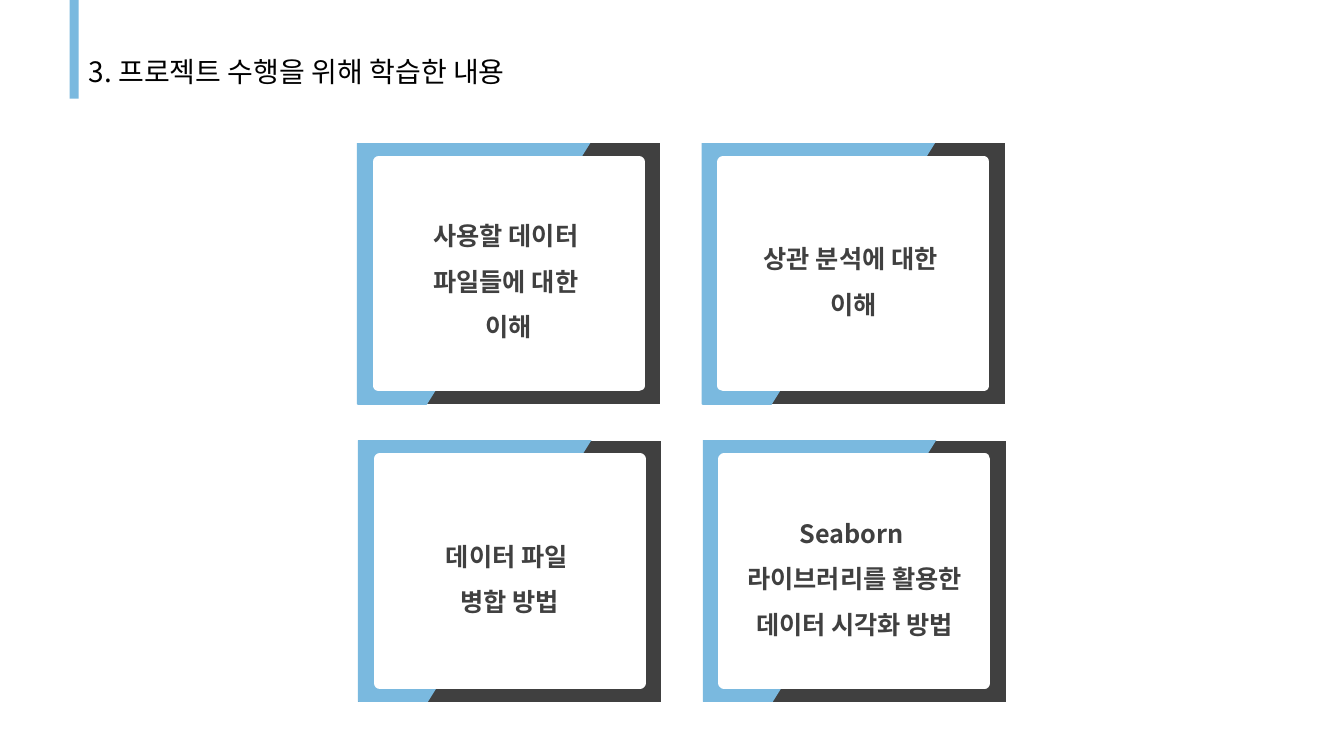
from dataclasses import dataclass

from pptx import Presentation
from pptx import util as u
from pptx.dml.color import RGBColor
from pptx.enum import shapes, text
from pptx.oxml.ns import qn
from pptx.util import Inches


@dataclass(frozen=True)
class Theme:
    font: str = "Noto Sans CJK KR"
    blue: RGBColor = RGBColor(0x7A, 0xB9, 0xDF)
    dark: RGBColor = RGBColor(0x40, 0x40, 0x40)
    white: RGBColor = RGBColor(0xFF, 0xFF, 0xFF)
    black: RGBColor = RGBColor(0, 0, 0)
    title_size: u.Pt = u.Pt(20)
    topic_size: u.Pt = u.Pt(18)
    panel_line: u.Pt = u.Pt(8.5)


THEME = Theme()
TITLE = "3. 프로젝트 수행을 위해 학습한 내용"
TOPICS = [
    ["사용할 데이터 ", "파일들에 대한 ", "이해"],
    ["상관 분석에 대한 ", "이해"],
    ["데이터 파일 ", "병합 방법"],
    ["Seaborn ", "라이브러리를 활용한 데이터 시각화 방법"],
]
COLUMNS = 2
CARD_LEFT, CARD_TOP = 3.54, 1.42
COLUMN_STEP, ROW_STEP = 3.42, 2.95
CARD_WIDTH, CARD_HEIGHT = 3.01, 2.59
PANEL_WIDTH, PANEL_HEIGHT = 2.58, 2.22


def format_runs(paragraph, size, color, bold=False):
    for run in paragraph.runs:
        run.font.size = size
        run.font.bold = bold
        run.font.name = THEME.font
        run.font.color.rgb = color
        east_asian = run.font._element.makeelement(qn("a:ea"), {"typeface": THEME.font})
        run.font._element.find(qn("a:latin")).addnext(east_asian)


def add_box(container, left, top, width, height):
    """Add a rectangle without shadow or outline, measured in inches."""
    box = container.add_shape(shapes.MSO_SHAPE.RECTANGLE, Inches(left), Inches(top),
                              Inches(width), Inches(height))
    box.shadow.inherit = False
    box.line.fill.background()
    return box


def add_title(slide):
    title = slide.shapes.title
    title.left, title.top = Inches(0.78), Inches(0.49)
    title.width, title.height = Inches(5.48), Inches(0.44)
    frame = title.text_frame
    frame.text = TITLE
    frame.word_wrap = True
    frame.auto_size = text.MSO_AUTO_SIZE.SHAPE_TO_FIT_TEXT
    frame.vertical_anchor = text.MSO_ANCHOR.TOP
    heading = frame.paragraphs[0]
    heading.alignment = text.PP_ALIGN.LEFT
    format_runs(heading, THEME.title_size, THEME.black)


def add_accent_bar(slide):
    bar = add_box(slide.shapes, 0.69, 0, 0.09, 0.98)
    bar.fill.solid()
    bar.fill.fore_color.rgb = THEME.blue


def fill_two_tone(shape):
    """Split the fill along a slanted edge: blue upper left, dark lower right."""
    shape.fill.gradient()
    shape.fill.gradient_angle = 148
    for stop, color in zip(shape.fill.gradient_stops, (THEME.dark, THEME.blue)):
        stop.position = 0.5
        stop.color.rgb = color


def add_card(slide, left, top, lines):
    card = slide.shapes.add_group_shape().shapes
    fill_two_tone(add_box(card, left, top, CARD_WIDTH, CARD_HEIGHT))

    panel = add_box(card, left + (CARD_WIDTH - PANEL_WIDTH) / 2,
                    top + (CARD_HEIGHT - PANEL_HEIGHT) / 2, PANEL_WIDTH, PANEL_HEIGHT)
    panel.fill.solid()
    panel.fill.fore_color.rgb = THEME.white
    panel.line.color.rgb = THEME.white
    panel.line.width = THEME.panel_line

    frame = panel.text_frame
    frame.word_wrap = True
    frame.vertical_anchor = text.MSO_ANCHOR.MIDDLE
    frame.text = "\n".join(lines)
    for paragraph in frame.paragraphs:
        paragraph.alignment = text.PP_ALIGN.CENTER
        paragraph.line_spacing = 1.5
        format_runs(paragraph, THEME.topic_size, THEME.dark, bold=True)


def main():
    deck = Presentation()
    deck.slide_width, deck.slide_height = Inches(13.33), Inches(7.5)
    slide = deck.slides.add_slide(deck.slide_layouts[5])
    add_title(slide)
    add_accent_bar(slide)
    for index, lines in enumerate(TOPICS):
        row, column = divmod(index, COLUMNS)
        add_card(slide, CARD_LEFT + column * COLUMN_STEP + row * 0.01,
                 CARD_TOP + row * ROW_STEP, lines)
    deck.save("out.pptx")


if __name__ == "__main__":
    main()
